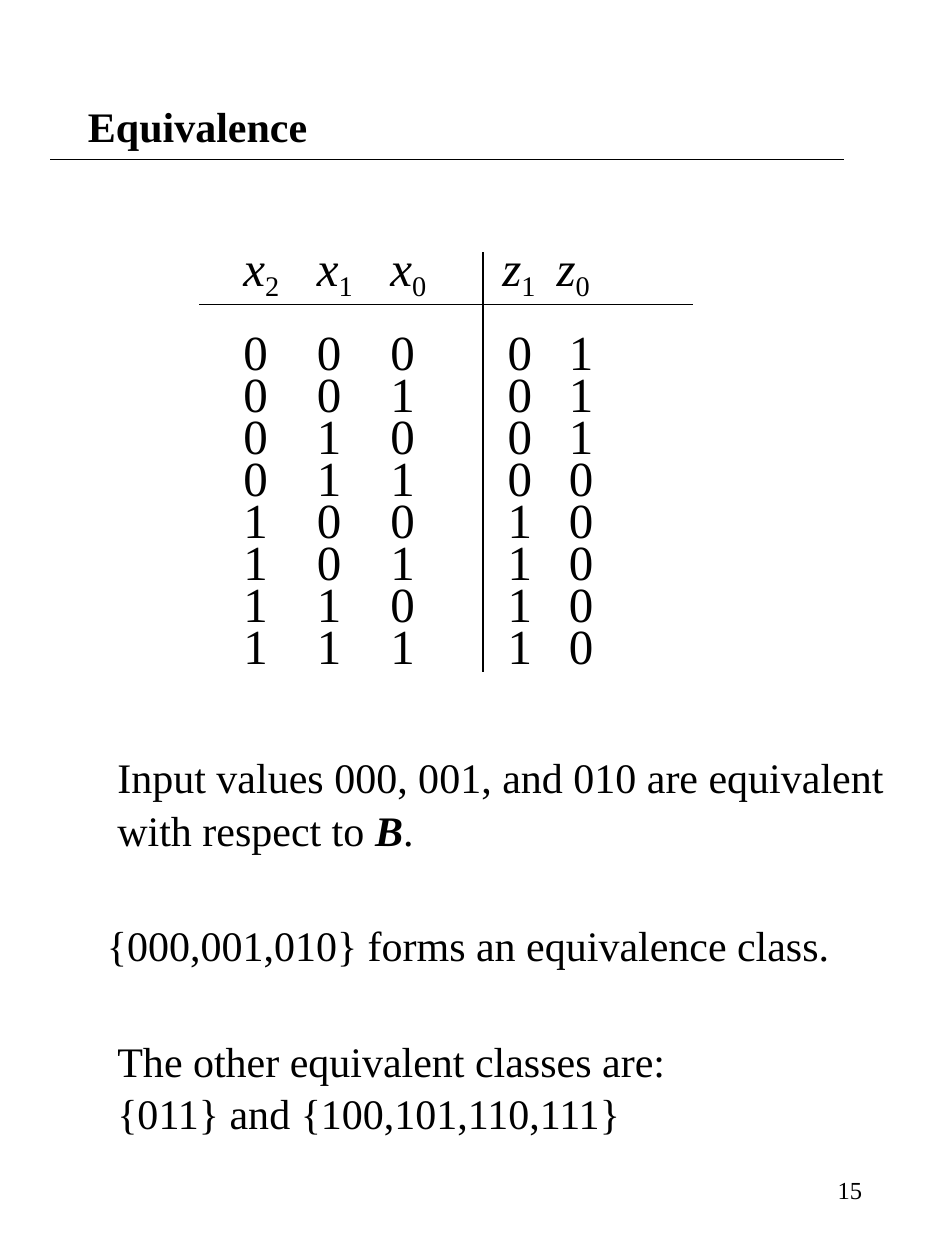
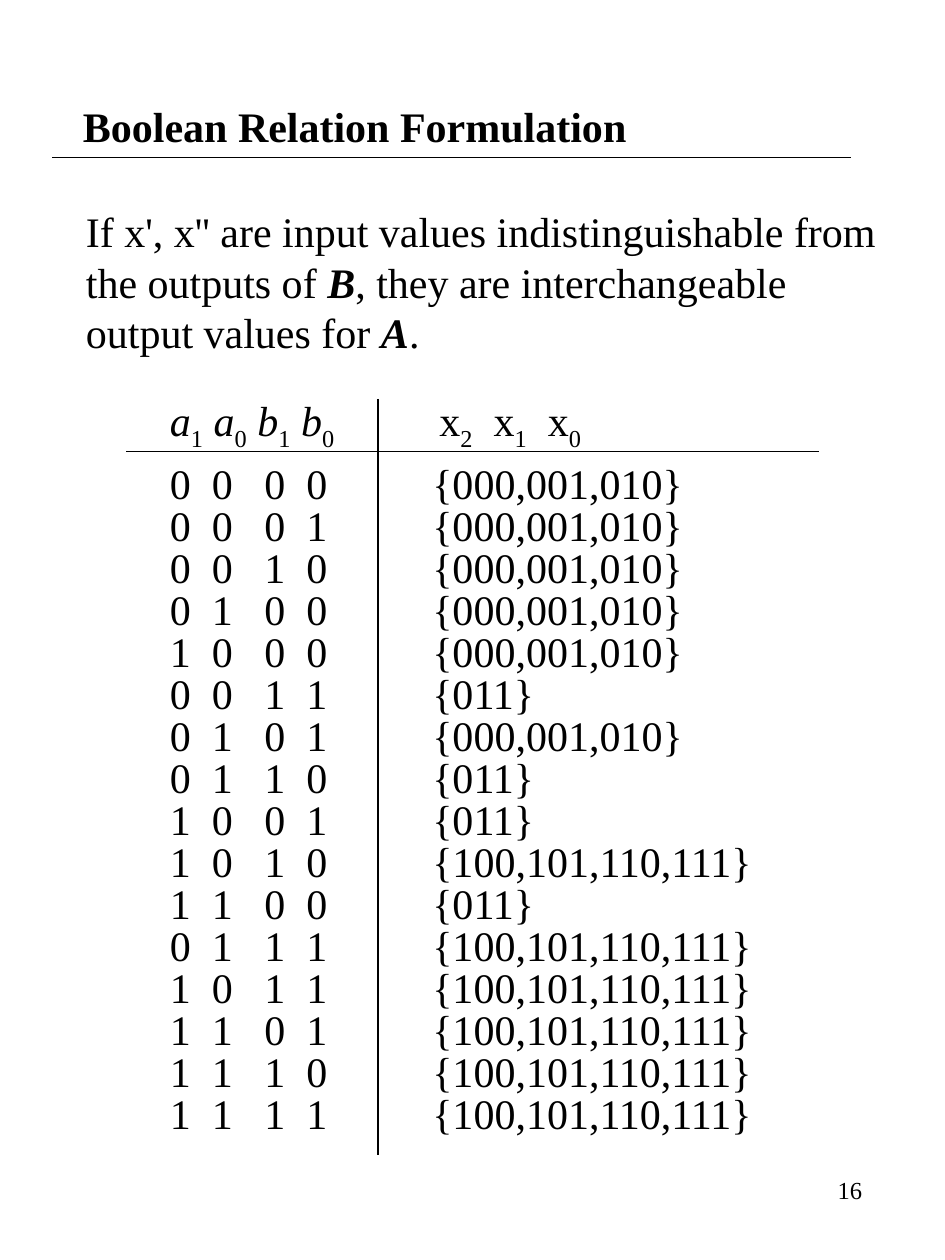
from pptx import Presentation
from pptx.dml.color import RGBColor
from pptx.enum.shapes import MSO_CONNECTOR as CONN
from pptx.enum.text import MSO_ANCHOR as ANCHOR, MSO_AUTO_SIZE as AUTO, PP_ALIGN as ALIGN
from pptx.oxml.ns import qn
from pptx.util import Pt
from lxml.etree import SubElement

BLACK = RGBColor(0x00, 0x00, 0x00)
FONT = "Times New Roman"
BOLD_ITALIC = {"bold": True, "italic": True}
ITALIC = {"italic": True}

prs = Presentation()
prs.slide_width, prs.slide_height = Pt(540), Pt(720)


def add_text(s, box, runs, size=24, tabs=(), before=True, **frame):
    """Add a one-paragraph text box; runs are (text, format, baseline)."""
    sp = s.shapes.add_textbox(*[Pt(v) for v in box])
    tf = sp.text_frame
    tf.word_wrap = True
    for name, value in frame.items():
        setattr(tf, name, value)
    p = tf.paragraphs[0]
    if before:
        p.space_before = Pt(size * 0.625)
        tf.auto_size = AUTO.SHAPE_TO_FIT_TEXT
    if tabs:
        tab_list = SubElement(p._p.get_or_add_pPr(), qn("a:tabLst"))
        for pos in tabs:
            SubElement(tab_list, qn("a:tab"), pos=str(Pt(pos)), algn="l")
    for text, fmt, baseline in runs:
        r = p.add_run()
        r.text = text
        for name, value in {"name": FONT, "size": Pt(size), **fmt}.items():
            setattr(r.font, name, value)
        r.font.color.rgb = BLACK
        if baseline:
            r.font._element.set("baseline", str(baseline * 1000))
    return p


def add_line(s, x1, y1, x2, y2):
    ln = s.shapes.add_connector(CONN.STRAIGHT, Pt(x1), Pt(y1), Pt(x2), Pt(y2))
    ln.line.color.rgb = BLACK
    ln.line.width = Pt(1)
    SubElement(ln._element.spPr, qn("a:effectLst"))


# Title, rule and page number on both slides
PAGES = [
    ("Equivalence", (43.2, 28.8, 458.6, 86.4), (28.8, 91.2, 482.4, 91.2), "15"),
    ("Boolean Relation Formulation", (40.3, 24, 458.6, 95.8), (30, 90, 486, 90), "16"),
]
slides = []
for title, title_box, rule, number in PAGES:
    s = prs.slides.add_slide(prs.slide_layouts[6])
    add_text(s, title_box, [(title, {"bold": True}, 0)],
             before=False, vertical_anchor=ANCHOR.MIDDLE)
    add_line(s, *rule)
    p = add_text(s, (387.4, 656, 112.3, 48), [(number, {}, 0)], size=14,
                 before=False, vertical_anchor=ANCHOR.MIDDLE)
    p.alignment = ALIGN.RIGHT
    slides.append(s)
equivalence, relation = slides

# Equivalence: truth table header
runs = []
for i, (var, index) in enumerate(["x2", "x1", "x0", "z1", "z0"]):
    runs += [("\t" * (i > 0) + var, ITALIC, 0), (index, {}, -20)]
add_text(equivalence, (132, 132, 276, 44), runs, size=28, tabs=(42, 84, 148, 179))

# Equivalence: truth table rows
for x in range(8):
    z = "01" if x < 3 else "00" if x == 3 else "10"
    add_text(equivalence, (132, 180 + 24 * x, 276, 44),
             [("\t".join(f"{x:03b}" + z), {}, 0)], size=28, tabs=(42, 84, 151, 186))
add_line(equivalence, 114, 174, 396, 174)
add_line(equivalence, 276, 144, 276, 384)

# Equivalence: statements
STATEMENTS = [
    ((60, 426, 462, 36), [("Input values 000, 001, and 010 are equivalent", {}, 0)]),
    ((60, 456, 462, 36), [("with respect to ", {}, 0), ("B", BOLD_ITALIC, 0), (".", {}, 0)]),
    ((54, 522, 444, 65), [("{000,001,010} forms an equivalence class.", {}, 0)]),
    ((60, 588, 396, 36), [("The other equivalent classes are:", {}, 0)]),
    ((60, 618, 396, 36), [("{011} and {100,101,110,111}", {}, 0)]),
]
for box, runs in STATEMENTS:
    add_text(equivalence, box, runs)

# Relation: introduction
add_text(relation, (42, 114, 474, 94), [
    ("If x', x'' are input values indistinguishable from the outputs of ", {}, 0),
    ("B", BOLD_ITALIC, 0),
    (", they are interchangeable output values for ", {}, 0),
    ("A", BOLD_ITALIC, 0),
    (".", {}, 0),
])

# Relation: table header
runs = []
for var, index in ["a1", "a0", "b1", "b0", "x2", "x1", "x0"]:
    runs += [("\t" + var, {} if var == "x" else ITALIC, 0), (index, {}, -25)]
add_text(relation, (84, 222, 330, 40), runs, tabs=(6, 31, 56, 81, 160, 191, 222))

# Relation: table rows, the class follows from the sum a + b
INPUTS = ("0000 0001 0010 0100 1000 0011 0101 0110 "
          "1001 1010 1100 0111 1011 1101 1110 1111").split()
for i, bits in enumerate(INPUTS):
    total = int(bits[:2], 2) + int(bits[2:], 2)
    outputs = ("{000,001,010}" if total < 3 else
               "{011}" if total == 3 else "{100,101,110,111}")
    row = "".join("\t" + cell for cell in [*bits, outputs])
    add_text(relation, (60, 258 + 24 * i, 432, 36), [(row, {}, 0)],
             tabs=(30, 54, 84, 108, 180))
add_line(relation, 72, 258, 468, 258)
add_line(relation, 216, 228, 216, 660)

prs.save("out.pptx")
